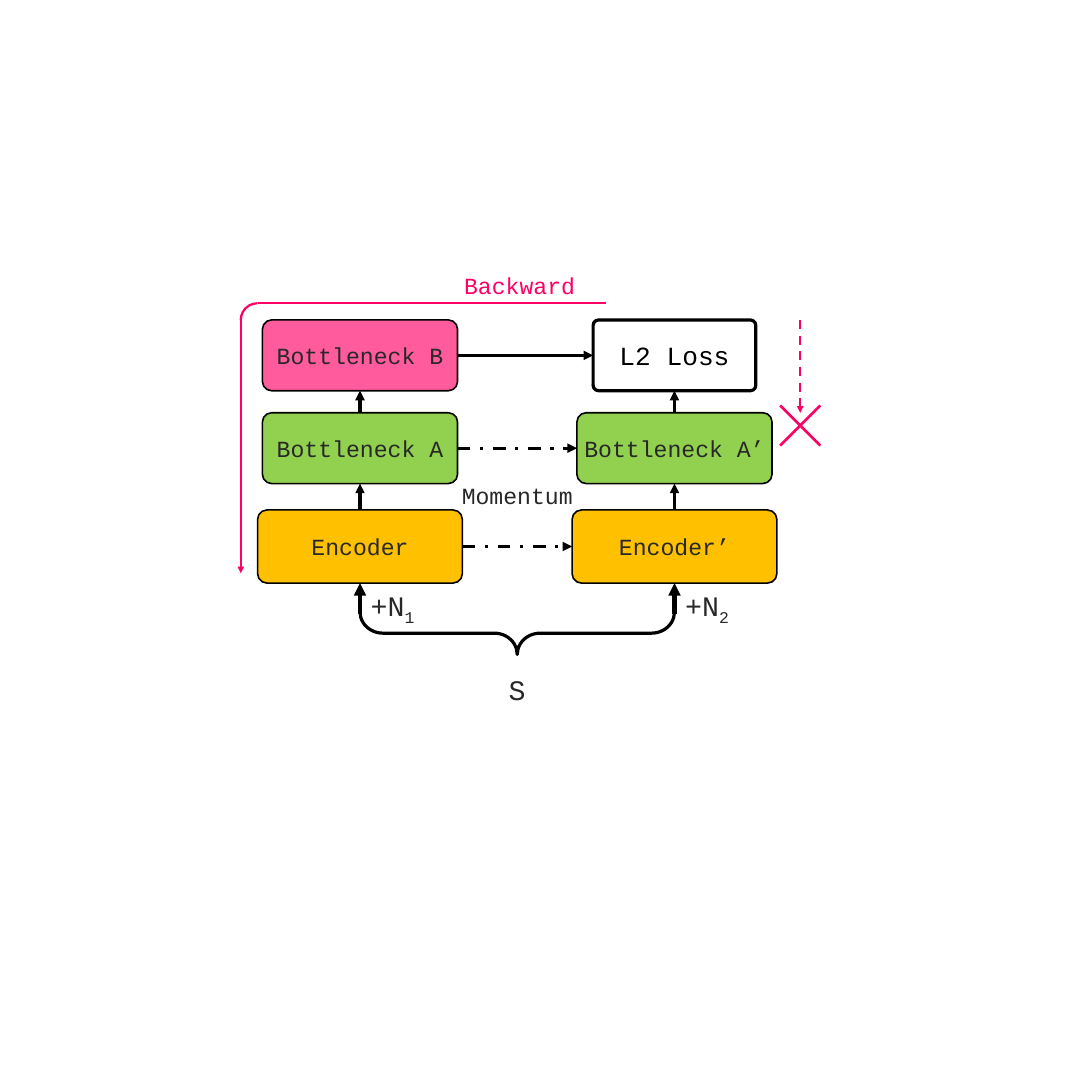
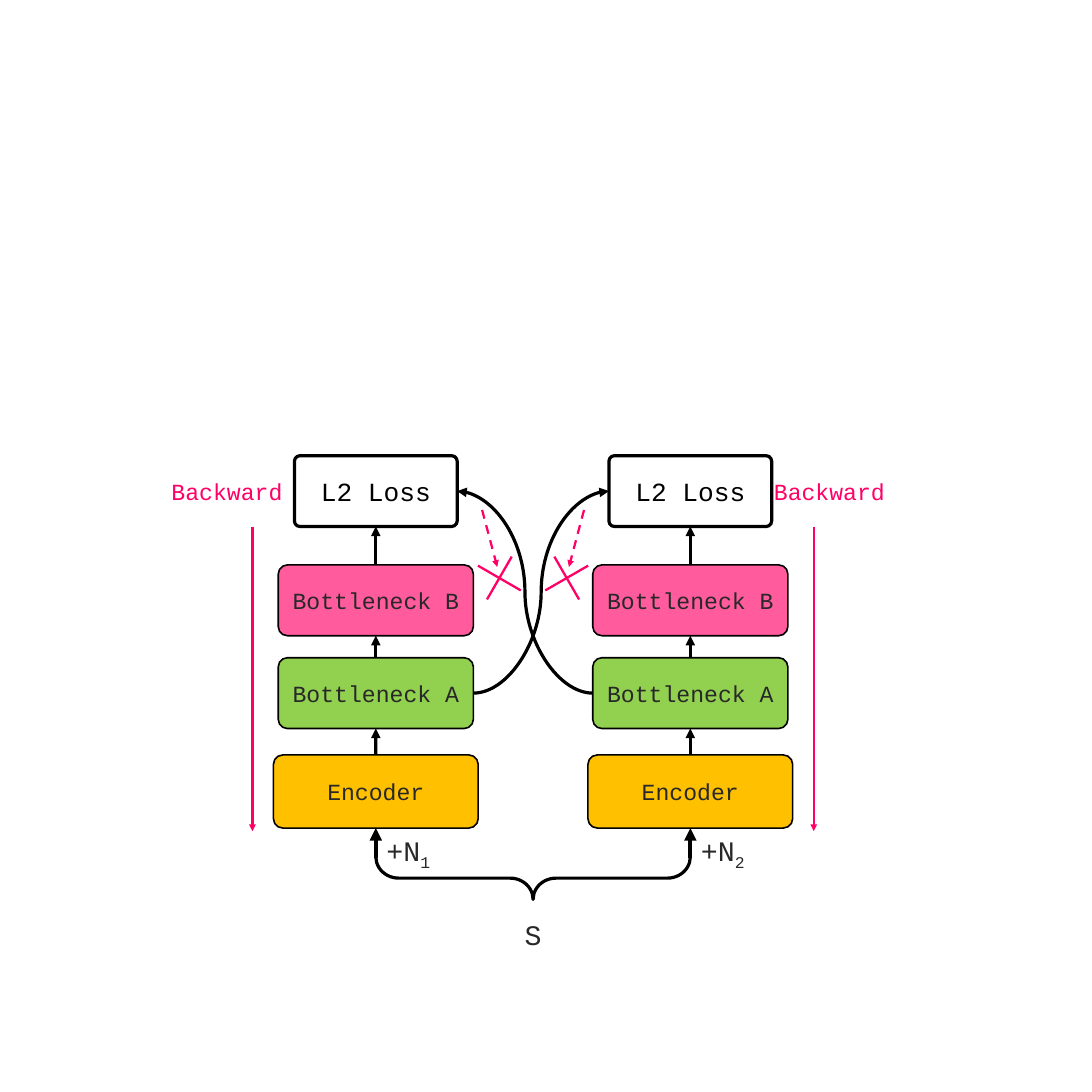
"""Build two diagrams of paired encoder stacks with their forward and backward flows."""
from lxml.etree import SubElement
from pptx import Presentation
from pptx.dml.color import RGBColor
from pptx.enum.dml import MSO_LINE
from pptx.enum.shapes import MSO_CONNECTOR, MSO_SHAPE
from pptx.enum.text import MSO_ANCHOR, PP_ALIGN
from pptx.oxml.ns import qn
from pptx.util import Cm, Pt

FONT = "Courier New"
BLACK, GREY, MAGENTA = "000000", "282828", "FF0066"
TOP, LEFT, BOTTOM, RIGHT = range(4)

STYLES = {
    "Encoder": dict(width=11.25, height=4.02, fill="FFC000"),
    "Bottleneck A": dict(width=10.72, height=3.89, fill="92D050"),
    "Bottleneck B": dict(width=10.72, height=3.89, fill="FF5B9D"),
    "L2 Loss": dict(width=8.94, height=3.89, fill=None, weight=5, corner=0.077,
                    size=40.8, color=BLACK),
}
LEVELS = (0, -5.34, -10.44, -16.44)
HALF_SPREAD = 8.64

MOMENTUM = dict(
    middle=28.42, base=28.02,
    stacks=(("Encoder", "Bottleneck A", "Bottleneck B"),
            ("Encoder’", "Bottleneck A’", "L2 Loss")),
    labels=(("Momentum", 28.42, 27.2, GREY), ("Backward", 28.55, 15.67, MAGENTA)),
)
SYMMETRIC = dict(
    middle=29.29, base=41.48,
    stacks=(("Encoder", "Bottleneck A", "Bottleneck B", "L2 Loss"),) * 2,
    labels=(("Backward", 12.47, 26.97, MAGENTA), ("Backward", 45.57, 26.97, MAGENTA)),
)


def rgb(value):
    return RGBColor.from_string(value)


def paint(shape, fill=None, line=None, weight=1):
    shape.shadow.inherit = False
    if fill:
        shape.fill.solid()
        shape.fill.fore_color.rgb = rgb(fill)
    else:
        shape.fill.background()
    if line:
        shape.line.color.rgb = rgb(line)
        shape.line.width = Pt(weight)
    else:
        shape.line.fill.background()


def add_centred(page, kind, x, y, width, height, adjustments=(), rotation=0):
    shape = page.shapes.add_shape(
        kind, Cm(x - width / 2), Cm(y - height / 2), Cm(width), Cm(height))
    for index, value in enumerate(adjustments):
        shape.adjustments[index] = value
    shape.rotation = rotation
    return shape


def write(shape, text, size, color, subscript=""):
    frame = shape.text_frame
    frame.word_wrap = False
    frame.vertical_anchor = MSO_ANCHOR.MIDDLE
    frame.margin_left = frame.margin_right = frame.margin_top = frame.margin_bottom = 0
    para = frame.paragraphs[0]
    para.alignment = PP_ALIGN.CENTER
    para.font.name, para.font.size = FONT, Pt(size)
    para.font.color.rgb = rgb(color)
    para.add_run().text = text
    if subscript:
        span = para.add_run()
        span.text = subscript
        span._r.get_or_add_rPr().set("baseline", "-25000")


def add_label(page, text, x, y, color=GREY, size=36, width=8.08, height=1.83, subscript=""):
    box = page.shapes.add_textbox(
        Cm(x - width / 2), Cm(y - height / 2), Cm(width), Cm(height))
    write(box, text, size, color, subscript)


def add_line(page, start, end, color=MAGENTA, weight=3.5, dash=None, head=True,
             kind=MSO_CONNECTOR.STRAIGHT):
    connector = page.shapes.add_connector(kind, *(Cm(value) for value in (*start, *end)))
    connector.line.color.rgb = rgb(color)
    connector.line.width = Pt(weight)
    if dash:
        connector.line.dash_style = dash
    properties = connector.element.spPr
    if head:
        SubElement(properties.find(qn("a:ln")), qn("a:tailEnd"), type="triangle")
    SubElement(properties, qn("a:effectLst"))
    return connector


def join(page, source, source_side, target, target_side, **style):
    connector = add_line(page, (0, 0), (0, 0), BLACK, 5, **style)
    connector.begin_connect(source, source_side)
    connector.end_connect(target, target_side)


def add_block(page, text, x, top):
    style = dict(weight=2.5, corner=0.129, size=36, color=GREY) | STYLES[text.rstrip("’")]
    width, height = style["width"], style["height"]
    block = add_centred(page, MSO_SHAPE.ROUNDED_RECTANGLE, x, top + height / 2,
                        width, height, (style["corner"],))
    paint(block, style["fill"], BLACK, style["weight"])
    write(block, text, style["size"], style["color"])
    return block


def add_stop(page, start, end, cross, size, rotation):
    add_line(page, start, end, dash=MSO_LINE.DASH)
    mark = add_centred(page, MSO_SHAPE.CROSS, *cross, size, size, (0.477,), rotation)
    paint(mark, MAGENTA)


def add_diagram(deck, plan):
    page = deck.slides.add_slide(deck.slide_layouts[6])
    middle, base = plan["middle"], plan["base"]
    columns = []
    for number, (side, names) in enumerate(zip((-1, 1), plan["stacks"]), 1):
        x = middle + side * HALF_SPREAD
        blocks = [add_block(page, name, x, base + level)
                  for name, level in zip(names, LEVELS)]
        for lower, upper in zip(blocks, blocks[1:]):
            join(page, lower, TOP, upper, BOTTOM)
        add_line(page, (x, base + 5.69), (x, base + 4.02), BLACK, 6.5)
        add_label(page, "+N", x + 1.79, base + 5.35, size=44, width=3.58,
                  height=3.25, subscript=str(number))
        columns.append(blocks)
    brace = add_centred(page, MSO_SHAPE.RIGHT_BRACE, middle, base + 6.77,
                        2.34, 2 * HALF_SPREAD, (0.538, 0.5), 90)
    paint(brace, line=BLACK, weight=5)
    add_label(page, "S", middle, base + 9.83, size=44, width=3.05, height=3.25)
    for label in plan["labels"]:
        add_label(page, *label)
    return page, columns


def build_momentum(deck):
    page, (online, target) = add_diagram(deck, MOMENTUM)
    for source, follower, dash in zip(online, target, (MSO_LINE.DASH_DOT,) * 2 + (None,)):
        join(page, source, RIGHT, follower, LEFT, dash=dash)
    left, top, radius = 13.23, 16.66, 0.92
    bend = add_centred(page, MSO_SHAPE.ARC, left + radius, top + radius,
                       2 * radius, 2 * radius, rotation=270)
    paint(bend, line=MAGENTA, weight=3.5)
    add_line(page, (left + radius, top), (33.32, top), head=False)
    add_line(page, (left, top + radius), (left, 31.5))
    add_stop(page, (43.97, 17.58), (43.97, 22.68), (43.97, 23.38), 3.12, 315)


def build_symmetric(deck):
    page, (left, right) = add_diagram(deck, SYMMETRIC)
    join(page, right[1], LEFT, left[3], RIGHT, kind=MSO_CONNECTOR.CURVE)
    join(page, left[1], RIGHT, right[3], LEFT, kind=MSO_CONNECTOR.CURVE)
    middle = SYMMETRIC["middle"]
    for side in (-1, 1):
        x = middle + side * 15.42
        add_line(page, (x, 28.93), (x, 45.67))
        add_stop(page, (middle + side * 2.8, 28.02), (middle + side * 1.97, 31.15),
                 (middle + side * 1.85, 31.76), 2.72, 315 + side * 15)


def main():
    deck = Presentation()
    deck.slide_width = deck.slide_height = Cm(60)
    build_momentum(deck)
    build_symmetric(deck)
    deck.save("out.pptx")


if __name__ == "__main__":
    main()
